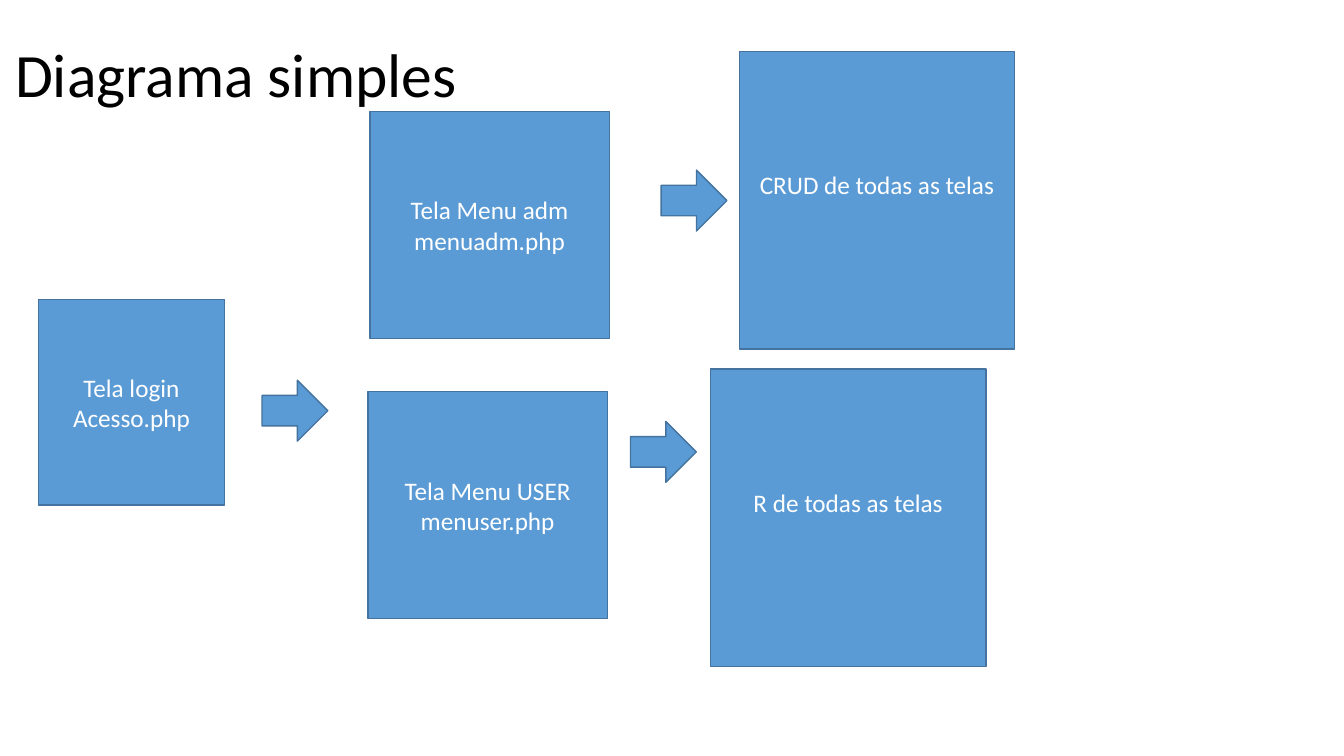
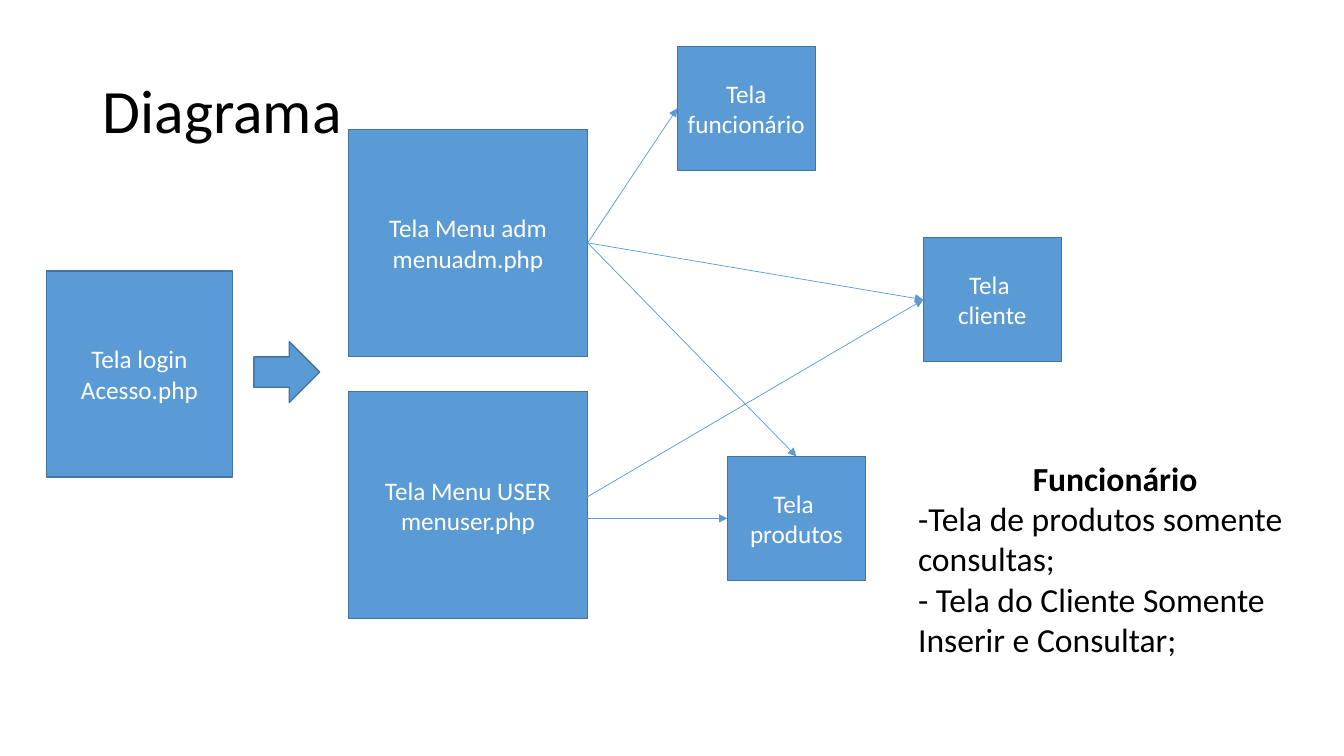
from lxml import etree
from pptx import Presentation
from pptx.dml.color import RGBColor
from pptx.enum import shapes, text
from pptx.oxml import ns
from pptx.util import Pt

BLUE = RGBColor(0x5B, 0x9B, 0xD5)
BORDER = RGBColor(0x43, 0x73, 0x9E)
WHITE = RGBColor(0xFF, 0xFF, 0xFF)
BLACK = RGBColor(0, 0, 0)
FONT = "Calibri"

LOGIN_SIZE = (133, 147)
MENU_SIZE = (171, 162)
ACCESS_SIZE = (196.8, 212.6)
SCREEN_SIZE = (98.6, 88.6)
ARROW_SIZE = (47, 43.5)
TITLE_SIZE = (828, 104.4)
TOP, LEFT, RIGHT = 0, 1, 3

LOGIN = ["Tela login", "Acesso.php"]
MENU_ADM = ["Tela Menu adm", "menuadm.php"]
MENU_USER = ["Tela Menu USER", "menuser.php"]


class Diagram:
    def __init__(self):
        self.deck = Presentation()
        self.deck.slide_width = Pt(960)
        self.deck.slide_height = Pt(540)
        self.page = None

    def add_line(self, para, line, size, color, align, bold=False):
        para.alignment = align
        span = para.add_run()
        span.text = line
        span.font.name = FONT
        span.font.size = Pt(size)
        span.font.bold = bold
        span.font.color.rgb = color

    def add_page(self, title, left, top):
        self.page = self.deck.slides.add_slide(self.deck.slide_layouts[5])
        box = self.page.shapes.title
        box.left, box.top = Pt(left), Pt(top)
        box.width, box.height = map(Pt, TITLE_SIZE)
        frame = box.text_frame
        frame.vertical_anchor = text.MSO_ANCHOR.MIDDLE
        para = frame.paragraphs[0]
        para.line_spacing = 0.9
        self.add_line(para, title, 44, BLACK, text.PP_ALIGN.LEFT)

    def add_block(self, kind, left, top, size):
        block = self.page.shapes.add_shape(kind, Pt(left), Pt(top), *map(Pt, size))
        block.shadow.inherit = False
        block.fill.solid()
        block.fill.fore_color.rgb = BLUE
        block.line.color.rgb = BORDER
        block.line.width = Pt(1)
        return block

    def add_box(self, lines, left, top, size, raise_by=0):
        box = self.add_block(shapes.MSO_SHAPE.RECTANGLE, left, top, size)
        frame = box.text_frame
        frame.word_wrap = True
        frame.vertical_anchor = text.MSO_ANCHOR.MIDDLE
        frame.margin_left = frame.margin_right = Pt(6)
        frame.margin_bottom = Pt(3.6 + raise_by)
        for index, line in enumerate(lines):
            para = frame.add_paragraph() if index else frame.paragraphs[0]
            self.add_line(para, line, 18, WHITE, text.PP_ALIGN.CENTER)
        return box

    def add_arrow(self, left, top):
        self.add_block(shapes.MSO_SHAPE.RIGHT_ARROW, left, top, ARROW_SIZE)

    def add_link(self, target, target_side, source=None, start=(0, 0)):
        link = self.page.shapes.add_connector(
            shapes.MSO_CONNECTOR.STRAIGHT, *map(Pt, start), *map(Pt, start))
        if source is not None:
            link.begin_connect(source, RIGHT)
        link.end_connect(target, target_side)
        link.line.color.rgb = BLUE
        link.line.width = Pt(0.5)
        properties = link.element.spPr
        tail = etree.SubElement(properties.find(ns.qn("a:ln")), ns.qn("a:tailEnd"))
        tail.set("type", "triangle")
        etree.SubElement(properties, ns.qn("a:effectLst"))

    def add_note(self, heading, lines, left, top, width, height):
        box = self.page.shapes.add_textbox(Pt(left), Pt(top), Pt(width), Pt(height))
        frame = box.text_frame
        frame.word_wrap = True
        self.add_line(frame.paragraphs[0], heading, 24, BLACK,
                      text.PP_ALIGN.CENTER, bold=True)
        for line in lines:
            self.add_line(frame.add_paragraph(), line, 24, BLACK, text.PP_ALIGN.LEFT)


def add_simple_page(diagram):
    diagram.add_page("Diagrama simples", 3.6, 2.9)
    diagram.add_box(LOGIN, 27.4, 213.8, LOGIN_SIZE)
    diagram.add_box(["CRUD de todas as telas"], 528, 36.7, ACCESS_SIZE, raise_by=22)
    diagram.add_box(MENU_ADM, 264.2, 79.6, MENU_SIZE)
    diagram.add_box(MENU_USER, 262.8, 279.8, MENU_SIZE)
    diagram.add_box(["R de todas as telas"], 507.4, 263.5, ACCESS_SIZE, raise_by=22)
    for left, top in ((472.3, 121.5), (187.2, 271.6), (450.4, 301)):
        diagram.add_arrow(left, top)


def add_detailed_page(diagram):
    diagram.add_page("Diagrama", 66.2, 28.8)
    diagram.add_box(LOGIN, 33.1, 193.7, LOGIN_SIZE)
    menu_adm = diagram.add_box(MENU_ADM, 248.8, 92.5, MENU_SIZE)
    diagram.add_arrow(181.4, 244)
    diagram.add_box(MENU_USER, 248.8, 279.8, MENU_SIZE)
    employee = diagram.add_box(["Tela funcionário"], 483.8, 33.1, SCREEN_SIZE)
    client = diagram.add_box(["Tela ", "cliente"], 659.5, 169.8, SCREEN_SIZE)
    products = diagram.add_box(["Tela ", "produtos"], 519.6, 326, SCREEN_SIZE)
    for target, side in ((employee, LEFT), (client, LEFT), (products, TOP)):
        diagram.add_link(target, side, source=menu_adm)
    diagram.add_link(products, LEFT, start=(409.7, 370.3))
    diagram.add_link(client, LEFT, start=(409.7, 360.7))
    diagram.add_note(
        "Funcionário ",
        ["-Tela de produtos somente consultas;",
         "- Tela do Cliente Somente Inserir e Consultar;"],
        648.7, 323.3, 301, 152.6)


def main():
    diagram = Diagram()
    add_simple_page(diagram)
    add_detailed_page(diagram)
    diagram.deck.save("out.pptx")


if __name__ == "__main__":
    main()
